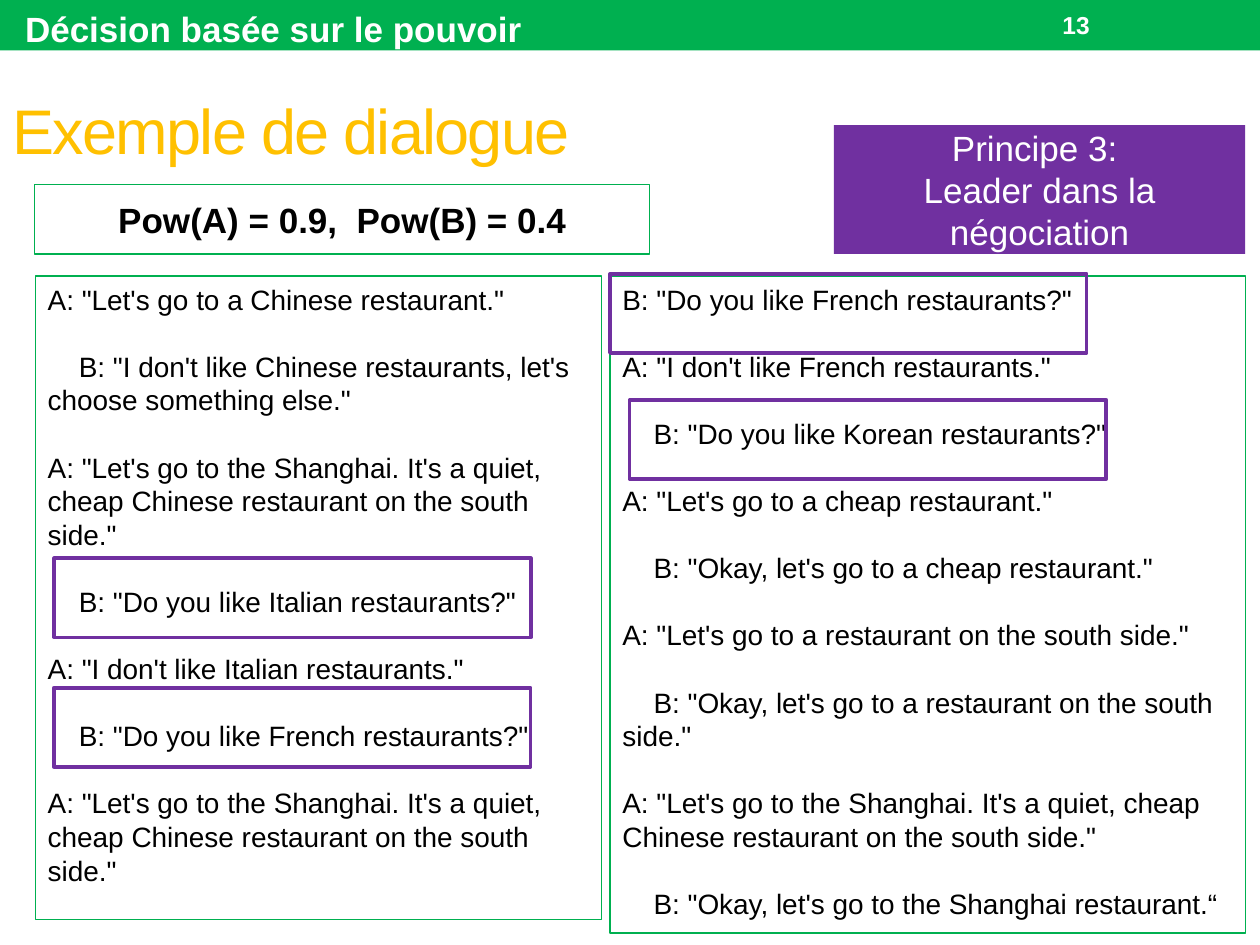
from pptx import Presentation
from pptx import util as u
from pptx.dml.color import RGBColor
from pptx.enum import shapes, text

Pt = u.Pt
GREEN = RGBColor(0x00, 0xB0, 0x50)
PURPLE = RGBColor(0x70, 0x30, 0xA0)
GOLD = RGBColor(0xFF, 0xC0, 0x00)
BLACK = RGBColor(0, 0, 0)
WHITE = RGBColor(0xFF, 0xFF, 0xFF)

FONT = "Arial"
LINE_RATIO = 1.2
DIALOGUE_SIZE = 16
REPLY_INDENT = 17.8

TITLE = "Exemple de dialogue"
SECTION = "Décision basée sur le pouvoir"
PAGE = "13"
POWERS = "Pow(A) = 0.9,  Pow(B) = 0.4"
PRINCIPLE = ["Principe 3: ", "Leader dans la négociation"]

SHANGHAI = ("A: \"Let's go to the Shanghai. It's a quiet, cheap Chinese "
            "restaurant on the south side.\"")
DIALOGUES = [
    ((20.2, 157.7, 323.5, 367.6), [
        "A: \"Let's go to a Chinese restaurant.\"",
        "B: \"I don't like Chinese restaurants, let's choose something else.\"",
        SHANGHAI,
        "B: \"Do you like Italian restaurants?\"",
        "A: \"I don't like Italian restaurants.\"",
        "B: \"Do you like French restaurants?\"",
        SHANGHAI,
    ]),
    ((348.6, 157.7, 363, 375.6), [
        "B: \"Do you like French restaurants?\"",
        "A: \"I don't like French restaurants.\"",
        "B: \"Do you like Korean restaurants?\"",
        "A: \"Let's go to a cheap restaurant.\"",
        "B: \"Okay, let's go to a cheap restaurant.\"",
        "A: \"Let's go to a restaurant on the south side.\"",
        "B: \"Okay, let's go to a restaurant on the south side.\"",
        SHANGHAI,
        "B: \"Okay, let's go to the Shanghai restaurant.“",
    ]),
]
HIGHLIGHT_SIZE = (272.4, 45.2)
HIGHLIGHT_CORNERS = [(31, 319), (30.8, 393), (359.8, 228.5), (348.6, 156.5)]


def add_box(slide, area, fill=None, line=None, width=0.75):
    box = slide.shapes.add_shape(shapes.MSO_SHAPE.RECTANGLE, *map(Pt, area))
    box.shadow.inherit = False
    if fill is None:
        box.fill.background()
    else:
        box.fill.solid()
        box.fill.fore_color.rgb = fill
    if line is None:
        box.line.fill.background()
    else:
        box.line.color.rgb = line
        box.line.width = Pt(width)
    return box


def write(box, lines, size, color, bold=False, align=text.PP_ALIGN.LEFT,
          anchor=text.MSO_ANCHOR.MIDDLE, wrap=True):
    frame = box.text_frame
    frame.word_wrap = wrap
    frame.vertical_anchor = anchor
    frame.text = "\n".join(lines)
    for paragraph in frame.paragraphs:
        paragraph.alignment = align
        paragraph.line_spacing = Pt(size * LINE_RATIO)
        paragraph.font.name = FONT
        paragraph.font.size = Pt(size)
        paragraph.font.bold = bold
        paragraph.font.color.rgb = color
    return frame.paragraphs


def add_dialogue(slide, area, turns):
    box = add_box(slide, area, line=GREEN)
    paragraphs = write(box, turns, DIALOGUE_SIZE, BLACK, anchor=text.MSO_ANCHOR.TOP)
    for turn, paragraph in zip(turns[1:], paragraphs[1:]):
        paragraph.space_before = Pt(DIALOGUE_SIZE * LINE_RATIO)
        if turn.startswith("B:"):
            properties = paragraph._p.get_or_add_pPr()
            properties.set("marL", "0")
            properties.set("indent", str(int(Pt(REPLY_INDENT))))


def main():
    deck = Presentation()
    deck.slide_width, deck.slide_height = Pt(720), Pt(540)
    slide = deck.slides.add_slide(deck.slide_layouts[5])

    title = slide.shapes.title
    title.left, title.top, title.width, title.height = map(Pt, (0, 29, 705.6, 90))
    heading, = write(title, [TITLE], 36, GOLD)
    heading.line_spacing = 1.0
    heading.runs[0].font._element.set("spc", "-100")

    add_box(slide, (0, 0, 720, 28.8), fill=GREEN)
    section = slide.shapes.add_textbox(*map(Pt, (7.2, 0.8, 300, 31.5)))
    write(section, [SECTION], 20, WHITE, bold=True,
          anchor=text.MSO_ANCHOR.TOP, wrap=False)
    page = slide.shapes.add_textbox(*map(Pt, (600, 1.4, 84, 26)))
    write(page, [PAGE], 14, WHITE, bold=True)

    for area, turns in DIALOGUES:
        add_dialogue(slide, area, turns)
    for corner in HIGHLIGHT_CORNERS:
        add_box(slide, corner + HIGHLIGHT_SIZE, line=PURPLE, width=2.08)

    powers = add_box(slide, (19.9, 105.6, 351.4, 39.6), line=GREEN)
    write(powers, [POWERS], 20, BLACK, bold=True, align=text.PP_ALIGN.CENTER)
    principle = add_box(slide, (476.6, 71.5, 235, 73.6), fill=PURPLE)
    write(principle, PRINCIPLE, 20, WHITE, align=text.PP_ALIGN.CENTER)

    deck.save("out.pptx")


if __name__ == "__main__":
    main()
